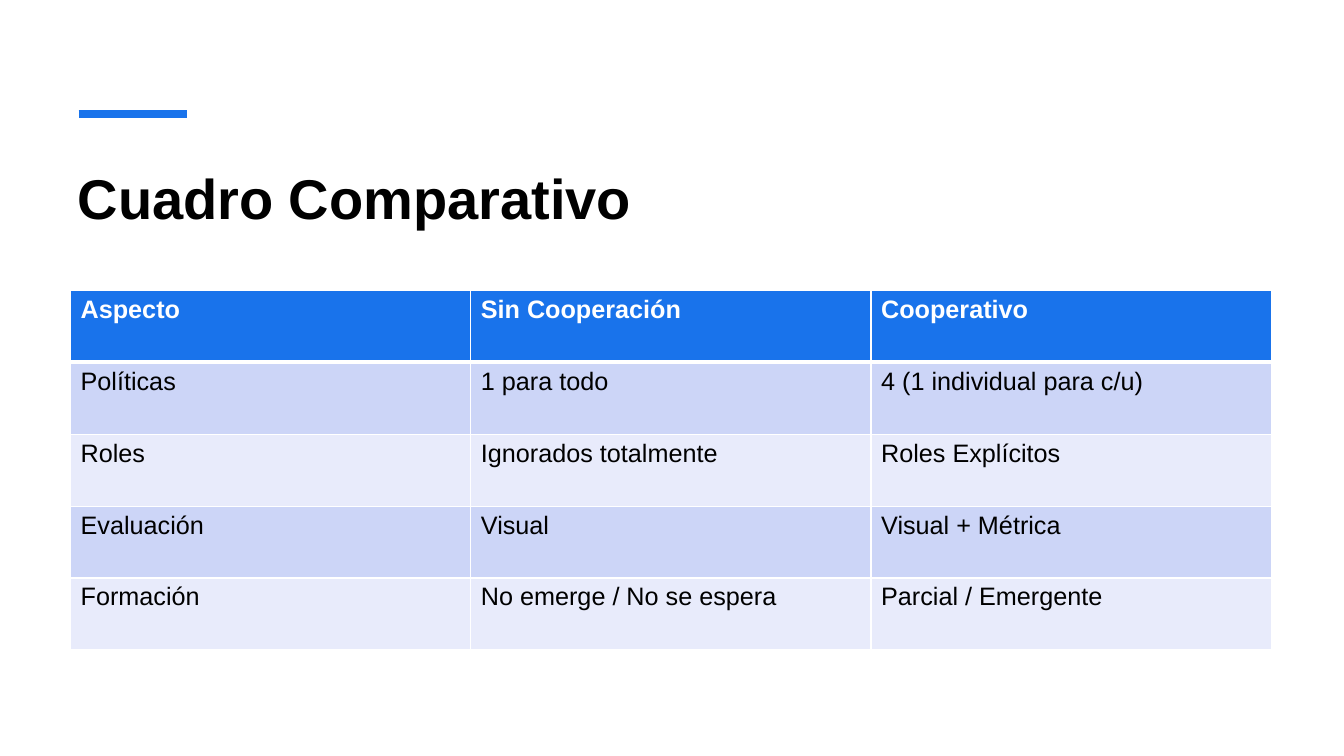
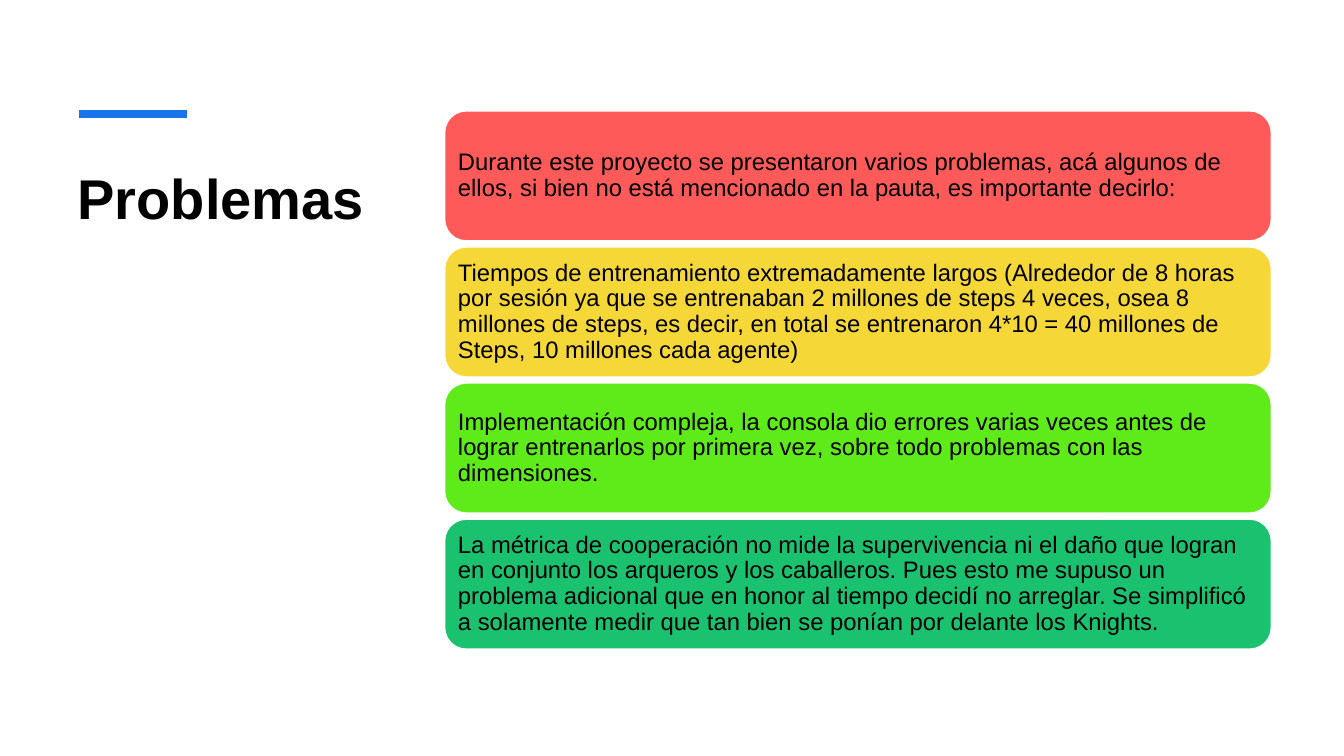
from dataclasses import dataclass

from lxml import etree
from pptx import Presentation
from pptx.dml.color import RGBColor
from pptx.enum.shapes import MSO_CONNECTOR, MSO_SHAPE
from pptx.enum.text import MSO_ANCHOR, MSO_AUTO_SIZE, PP_ALIGN
from pptx.oxml.ns import qn
from pptx.util import Inches, Pt

STRAIGHT = MSO_CONNECTOR.STRAIGHT
ROUNDED = MSO_SHAPE.ROUNDED_RECTANGLE
TOP, MIDDLE = MSO_ANCHOR.TOP, MSO_ANCHOR.MIDDLE
LEFT = PP_ALIGN.LEFT
NO_AUTOFIT = MSO_AUTO_SIZE.NONE
TITLE_ONLY = 5


@dataclass(frozen=True)
class Theme:
    font: str = "Arial"
    ink: str = "000000"
    paper: str = "FFFFFF"
    accent: str = "1973EB"
    bands: tuple = ("CCD5F7", "E8EBFB")
    cards: tuple = ("FE5A5A", "F6D738", "5FEB1A", "1AC16E")
    title_size: int = 40
    table_size: int = 18
    card_size: int = 17
    accent_width: int = 6


THEME = Theme()

COMPARISON = (
    ("Aspecto", "Sin Cooperación", "Cooperativo"),
    ("Políticas", "1 para todo", "4 (1 individual para c/u)"),
    ("Roles", "Ignorados totalmente", "Roles Explícitos"),
    ("Evaluación", "Visual", "Visual + Métrica"),
    ("Formación", "No emerge / No se espera", "Parcial / Emergente"),
)

PROBLEMS = (
    "Durante este proyecto se presentaron varios problemas, acá algunos de ellos, "
    "si bien no está mencionado en la pauta, es importante decirlo:",
    "Tiempos de entrenamiento extremadamente largos (Alrededor de 8 horas por sesión "
    "ya que se entrenaban 2 millones de steps 4 veces, osea 8 millones de steps, es "
    "decir, en total se entrenaron 4*10 = 40 millones de Steps, 10 millones cada agente)",
    "Implementación compleja, la consola dio errores varias veces antes de lograr "
    "entrenarlos por primera vez, sobre todo problemas con las dimensiones.",
    "La métrica de cooperación no mide la supervivencia ni el daño que logran en "
    "conjunto los arqueros y los caballeros. Pues esto me supuso un problema adicional "
    "que en honor al tiempo decidí no arreglar. Se simplificó a solamente medir que tan "
    "bien se ponían por delante los Knights.",
)


def rgb(color):
    return RGBColor.from_string(color)


def style_paragraph(paragraph, size, color, bold=False):
    paragraph.alignment = LEFT
    font = paragraph.font
    font.name = THEME.font
    font.size = Pt(size)
    font.bold = bold
    font.color.rgb = rgb(color)


def add_titled_slide(deck, heading, width, height):
    slide = deck.slides.add_slide(deck.slide_layouts[TITLE_ONLY])
    title = slide.shapes.title
    title.left, title.top = Inches(0.7), Inches(1.5)
    title.width, title.height = Inches(width), Inches(height)
    frame = title.text_frame
    frame.text = heading
    frame.word_wrap = True
    frame.auto_size = NO_AUTOFIT
    frame.vertical_anchor = TOP
    frame.margin_left = frame.margin_right = Inches(0.07)
    frame.margin_top = Inches(0.12)
    style_paragraph(frame.paragraphs[0], THEME.title_size, THEME.ink, True)

    accent = slide.shapes.add_connector(
        STRAIGHT, Inches(0.78), Inches(1.13), Inches(1.85), Inches(1.13))
    accent.line.color.rgb = rgb(THEME.accent)
    accent.line.width = Pt(THEME.accent_width)
    etree.SubElement(accent._element.spPr, qn("a:effectLst"))
    return slide


def add_cell_borders(cell, widths):
    properties = cell._tc.get_or_add_tcPr()
    for side, width in widths.items():
        border = etree.SubElement(properties, qn(f"a:ln{side}"), w=str(Pt(width)))
        fill = etree.SubElement(border, qn("a:solidFill"))
        etree.SubElement(fill, qn("a:srgbClr"), val=THEME.paper)


def add_comparison(slide, rows, left, top, width, height):
    table = slide.shapes.add_table(
        len(rows), len(rows[0]), Inches(left), Inches(top),
        Inches(width), Inches(height)).table
    for row, values in enumerate(rows):
        header = row == 0
        fill = THEME.accent if header else THEME.bands[(row - 1) % 2]
        borders = {"L": 1, "R": 1, "T": 3 if row == 1 else 1, "B": 3 if header else 1}
        for column, value in enumerate(values):
            cell = table.cell(row, column)
            cell.text = value
            add_cell_borders(cell, borders)
            cell.fill.solid()
            cell.fill.fore_color.rgb = rgb(fill)
            style_paragraph(cell.text_frame.paragraphs[0], THEME.table_size,
                            THEME.paper if header else THEME.ink, header)


def add_problem_cards(slide, problems, left, top, width, height, gap):
    card_height = (height - gap * (len(problems) - 1)) / len(problems)
    for index, (problem, color) in enumerate(zip(problems, THEME.cards)):
        card = slide.shapes.add_shape(
            ROUNDED, Inches(left), Inches(top + index * (card_height + gap)),
            Inches(width), Inches(card_height))
        card.shadow.inherit = False
        card.fill.solid()
        card.fill.fore_color.rgb = rgb(color)
        card.line.color.rgb = rgb(THEME.paper)
        card.line.width = Pt(1)
        frame = card.text_frame
        frame.text = problem
        frame.word_wrap = True
        frame.vertical_anchor = MIDDLE
        frame.margin_left = frame.margin_right = Inches(0.07)
        frame.margin_top = frame.margin_bottom = Inches(0.07)
        paragraph = frame.paragraphs[0]
        style_paragraph(paragraph, THEME.card_size, THEME.ink)
        paragraph.line_spacing = 0.9
        paragraph.space_after = Pt(6)


def main():
    deck = Presentation()
    deck.slide_width, deck.slide_height = Inches(13.33), Inches(7.5)

    comparison = add_titled_slide(deck, "Cuadro Comparativo", 11.91, 1.2)
    add_comparison(comparison, COMPARISON, 0.7, 2.88, 11.91, 3.57)

    problems = add_titled_slide(deck, "Problemas", 4.02, 4.29)
    add_problem_cards(problems, PROBLEMS, 4.41, 1.1, 8.2, 5.34, 0.06)

    deck.save("out.pptx")


if __name__ == "__main__":
    main()
